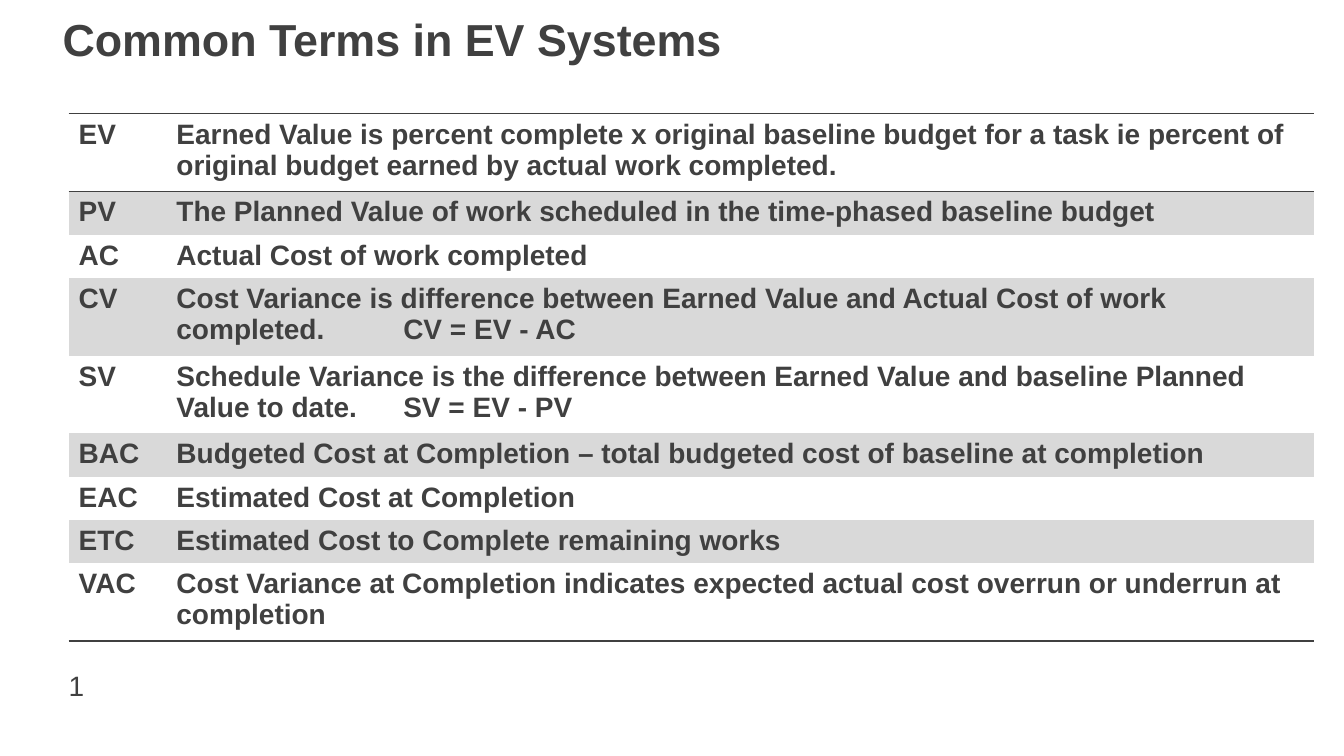
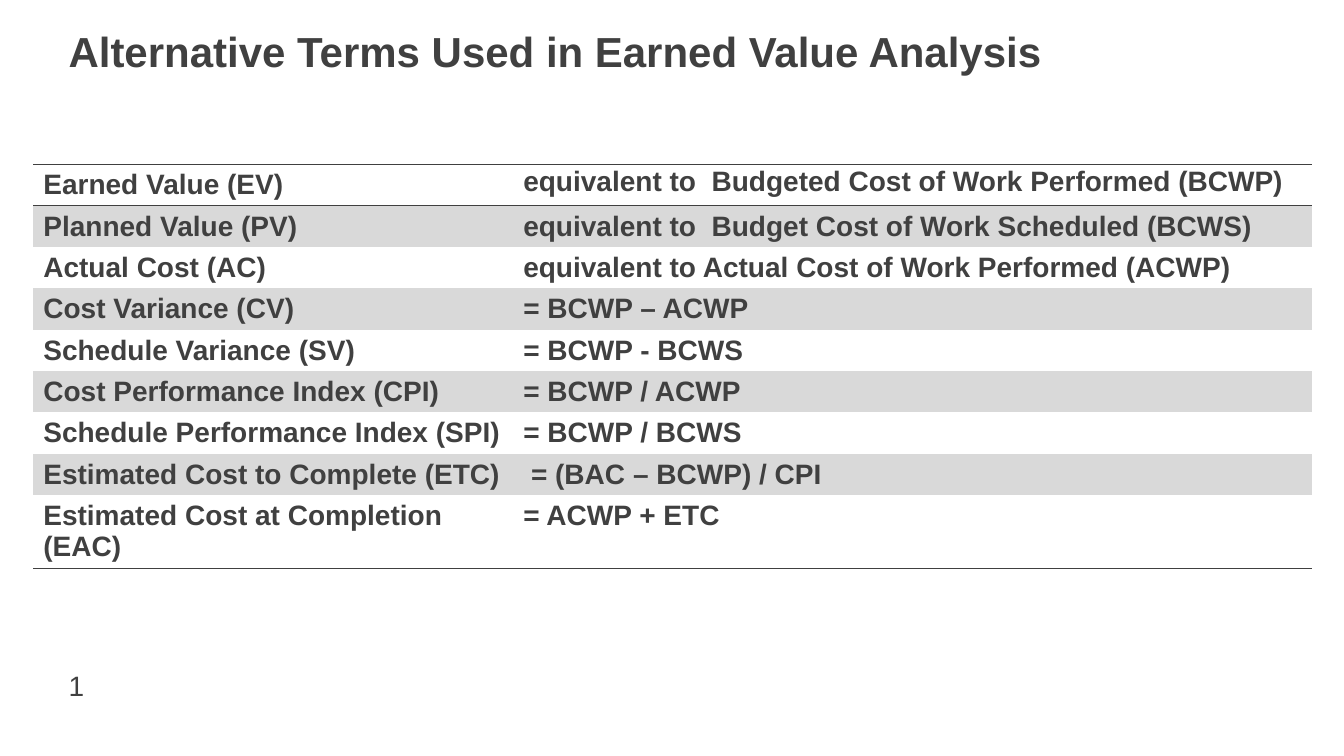
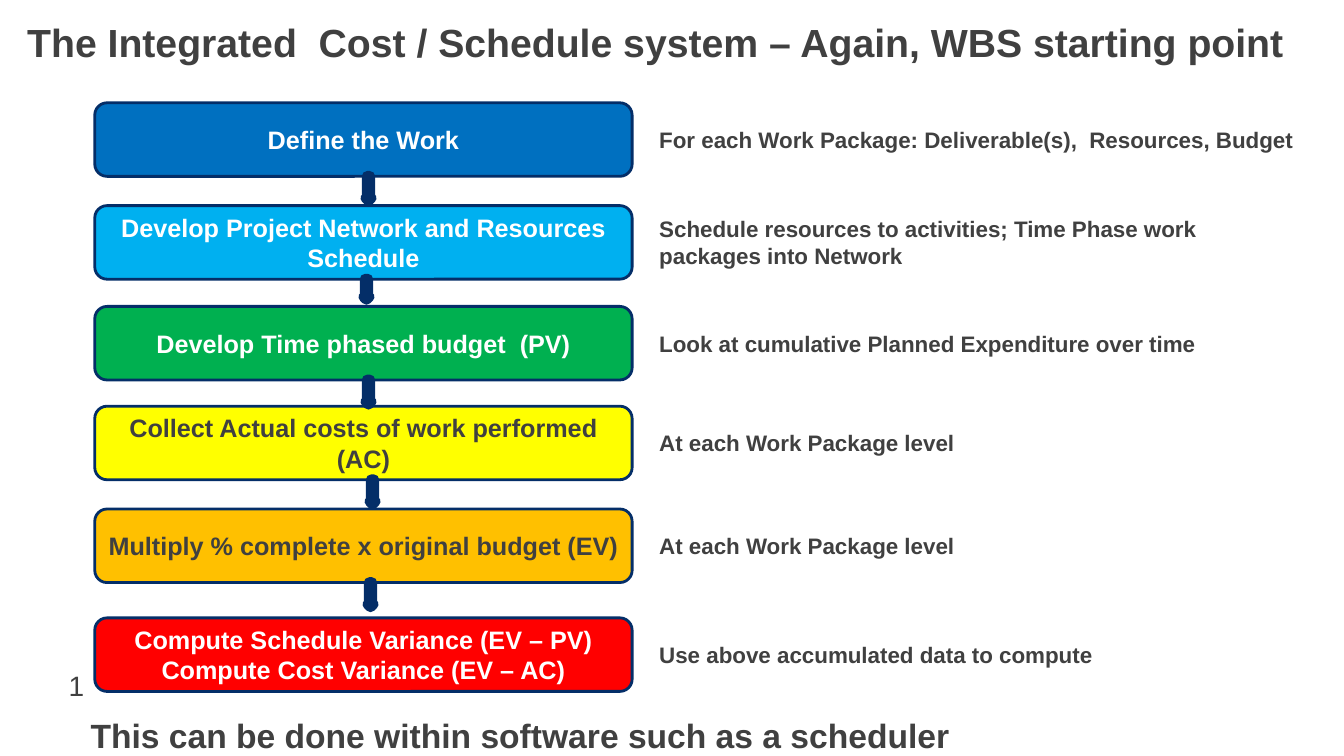
from lxml.etree import SubElement
from pptx import Presentation
from pptx.dml.color import RGBColor
from pptx.enum.shapes import MSO_SHAPE
from pptx.enum.text import MSO_ANCHOR, MSO_AUTO_SIZE, PP_ALIGN
from pptx.oxml import parse_xml
from pptx.oxml.ns import nsdecls, qn
from pptx.util import Inches, Pt

# Shared colours and styles
GRAY = RGBColor(0x40, 0x40, 0x40)
BAND = RGBColor(0xD9, 0xD9, 0xD9)
NAVY = RGBColor(0x04, 0x2E, 0x68)
WHITE = RGBColor(0xFF, 0xFF, 0xFF)
BLUE = RGBColor(0x00, 0x70, 0xC0)
SKY = RGBColor(0x00, 0xB0, 0xF0)
GREEN = RGBColor(0x00, 0xB0, 0x50)
YELLOW = RGBColor(0xFF, 0xFF, 0x00)
AMBER = RGBColor(0xFF, 0xC0, 0x00)
RED = RGBColor(0xFF, 0x00, 0x00)
FONT = {"name": "Arial", "bold": True}
FRAME = {"word_wrap": True, "auto_size": MSO_AUTO_SIZE.NONE,
         "vertical_anchor": MSO_ANCHOR.TOP}
FLUSH = {"margin_left": 0, "margin_right": 0, "margin_top": 0, "margin_bottom": 0}
MIDDLE = {"vertical_anchor": MSO_ANCHOR.MIDDLE}
PLAIN = "{2D5ABB26-0587-4C30-8999-92F81FD0307C}"  # table style without grid


def write(frame, text, size, color=GRAY, align=PP_ALIGN.LEFT, **font):
    """Fill a text frame and format every paragraph."""
    frame.text = text
    for para in frame.paragraphs:
        para.alignment = align
        for run in para.runs:
            run.font.size = Pt(size)
            run.font.color.rgb = color
            for key, value in {**FONT, **font}.items():
                setattr(run.font, key, value)


def place(shape, box, text, size, extra={}, **font):
    """Move a text shape, set up its frame and write into it."""
    for key, value in zip(("left", "top", "width", "height"), box):
        setattr(shape, key, Inches(value))
    for key, value in {**FRAME, **extra}.items():
        setattr(shape.text_frame, key, value)
    write(shape.text_frame, text, size, **font)


deck = Presentation()
deck.slide_width, deck.slide_height = Inches(13.33), Inches(7.5)

# Titles and page numbers
heads = [
    ("Common Terms in EV Systems", (0.52, 0.07, 11.49, 0.64), 32, {}),
    ("Alternative Terms Used in Earned Value Analysis",
     (0.68, 0.25, 11.97, 0.5), 30, FLUSH),
    ("The Integrated  Cost / Schedule system – Again, WBS starting point",
     (0.17, 0.13, 13.05, 0.57), 28, {}),
]
for text, box, size, extra in heads:
    slide = deck.slides.add_slide(deck.slide_layouts[5])
    place(slide.shapes.title, box, text, size, extra)
    page = slide.shapes.add_textbox(0, 0, 0, 0)
    place(page, (0.68, 6.63, 0.52, 0.32), "1", 20, FLUSH, bold=False)

# Table contents
terms = [
    ("EV", "Earned Value is percent complete x original baseline budget for a task "
           "ie percent of original budget earned by actual work completed."),
    ("PV", "The Planned Value of work scheduled in the time-phased baseline budget"),
    ("AC", "Actual Cost of work completed"),
    ("CV", "Cost Variance is difference between Earned Value and Actual Cost of work "
           "completed.\tCV = EV - AC"),
    ("SV", "Schedule Variance is the difference between Earned Value and baseline "
           "Planned Value to date.\tSV = EV - PV"),
    ("BAC", "Budgeted Cost at Completion – total budgeted cost of baseline at completion"),
    ("EAC", "Estimated Cost at Completion"),
    ("ETC", "Estimated Cost to Complete remaining works"),
    ("VAC", "Cost Variance at Completion indicates expected actual cost overrun or "
            "underrun at completion"),
]
pairs = [
    ("Earned Value (EV)", "equivalent to  Budgeted Cost of Work Performed (BCWP)"),
    ("Planned Value (PV)", "equivalent to  Budget Cost of Work Scheduled (BCWS)"),
    ("Actual Cost (AC)", "equivalent to Actual Cost of Work Performed (ACWP)"),
    ("Cost Variance (CV)", "= BCWP – ACWP"),
    ("Schedule Variance (SV)", "= BCWP - BCWS"),
    ("Cost Performance Index (CPI)", "= BCWP / ACWP"),
    ("Schedule Performance Index (SPI)", "= BCWP / BCWS"),
    ("Estimated Cost to Complete (ETC)", " = (BAC – BCWP) / CPI"),
    ("Estimated Cost at Completion (EAC)", "= ACWP + ETC"),
]

# Slide, rows, left, top, column widths, low and tall row heights, tall rows
plans = [
    (0, terms, 0.68, 1.13, (0.97, 11.38), 0.43, 0.77, (0, 3, 4, 8)),
    (1, pairs, 0.33, 1.63, (4.76, 7.92), 0.41, 0.73, (8,)),
]
for index, rows, left, top, cols, low, tall, long in plans:
    highs = [tall if i in long else low for i in range(len(rows))]
    table = deck.slides[index].shapes.add_table(
        len(rows), len(cols), Inches(left), Inches(top),
        Inches(sum(cols)), Inches(sum(highs))).table
    table.first_row = table.horz_banding = False
    table._tbl.tblPr.find(qn("a:tableStyleId")).text = PLAIN
    for col, width in zip(table.columns, cols):
        col.width = Inches(width)
    for i, row in enumerate(rows):
        table.rows[i].height = Inches(highs[i])
        edges = {0: ("lnB", "lnT"), len(rows) - 1: ("lnB",)}.get(i, ())
        for j, text in enumerate(row):
            cell = table.cell(i, j)
            write(cell.text_frame, text, 20)
            if i % 2:
                cell.fill.solid()
                cell.fill.fore_color.rgb = BAND
            else:
                cell.fill.background()
            # Rules above and below
            for edge in edges:
                cell._tc.get_or_add_tcPr().insert(0, parse_xml(
                    f'<a:{edge} {nsdecls("a")} w="{Pt(1)}"><a:solidFill>'
                    f'<a:srgbClr val="{GRAY}"/></a:solidFill></a:{edge}>'))
            # Tab stop ahead of a formula
            if "\t" in text:
                props = cell.text_frame.paragraphs[0]._p.get_or_add_pPr()
                tabs = SubElement(props, qn("a:tabLst"))
                SubElement(tabs, qn("a:tab"), pos=str(Inches(2.25)), algn="l")
deck.slides[1].shapes[-1].table.cell(0, 1).text_frame.paragraphs[0].line_spacing = 0.9

# Flow steps: top, fill, font colour, text, note
steps = [
    (1.02, BLUE, WHITE, "Define the Work",
     "For each Work Package: Deliverable(s),  Resources, Budget"),
    (2.04, SKY, WHITE, "Develop Project Network and Resources Schedule",
     "Schedule resources to activities; Time Phase work packages into Network"),
    (3.04, GREEN, WHITE, "Develop Time phased budget  (PV)",
     "Look at cumulative Planned Expenditure over time"),
    (4.03, YELLOW, GRAY, "Collect Actual costs of work performed (AC)",
     "At each Work Package level"),
    (5.05, AMBER, GRAY, "Multiply % complete x original budget (EV)",
     "At each Work Package level"),
    (6.13, RED, WHITE, "Compute Schedule Variance (EV – PV)\nCompute Cost Variance (EV – AC)",
     "Use above accumulated data to compute"),
]
high = 0.73
shapes = deck.slides[2].shapes
for top, fill, color, text, note in steps:
    step = shapes.add_shape(MSO_SHAPE.ROUNDED_RECTANGLE, 0, 0, 0, 0)
    step.shadow.inherit = False
    step.fill.solid()
    step.fill.fore_color.rgb = fill
    step.line.color.rgb = NAVY
    step.line.width = Pt(2)
    place(step, (0.94, top, 5.33, high), text, 18, MIDDLE,
          color=color, align=PP_ALIGN.CENTER)
    place(shapes.add_textbox(0, 0, 0, 0), (6.44, top, 6.56, high), note, 16, MIDDLE)

# Arrows below each step but the last
spots = [(3.63, 0.24), (3.61, 0.2), (3.63, 0.24), (3.67, 0.24), (3.65, 0.24)]
for (left, size), step in zip(spots, steps):
    arrow = shapes.add_shape(MSO_SHAPE.DOWN_ARROW, Inches(left),
                             Inches(step[0] + high), Inches(0.05), Inches(size))
    arrow.shadow.inherit = False
    arrow.fill.solid()
    arrow.fill.fore_color.rgb = GRAY
    arrow.line.color.rgb = NAVY
    arrow.line.width = Pt(7.75)

# Closing line
place(shapes.add_textbox(0, 0, 0, 0), (0.8, 7.04, 10.31, 0.5),
      "This can be done within software such as a scheduler", 24)

deck.save("out.pptx")
